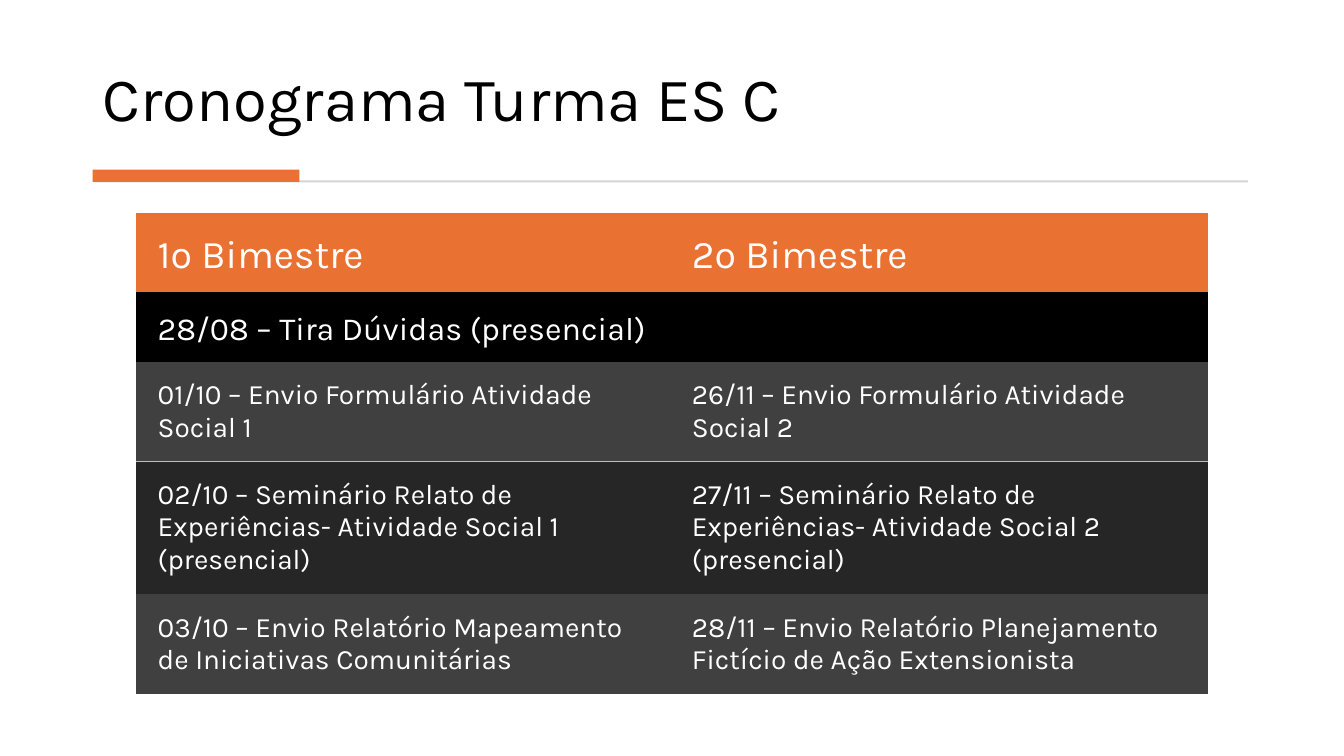
import pptx
import pptx.dml.color
import pptx.enum.shapes
import pptx.enum.text
import pptx.oxml
import pptx.oxml.ns
import pptx.util

Pt = pptx.util.Pt
RGBColor = pptx.dml.color.RGBColor
Anchor = pptx.enum.text.MSO_ANCHOR

BLACK = RGBColor(0x00, 0x00, 0x00)
WHITE = RGBColor(0xFF, 0xFF, 0xFF)
ORANGE = RGBColor(0xE9, 0x71, 0x32)
RULE_GRAY = RGBColor(0xD5, 0xD5, 0xD5)
BORDER_GRAY = RGBColor(0xBF, 0xBF, 0xBF)
MEDIUM_GRAY = RGBColor(0x40, 0x40, 0x40)
DARK_GRAY = RGBColor(0x26, 0x26, 0x26)

FONT = "Karla"
COLUMN_WIDTHS = (381.6, 384.5)
CELL_FORMAT = {
    "margin_left": Pt(15.84),
    "margin_top": Pt(12.24),
    "margin_right": Pt(15.84),
    "margin_bottom": Pt(7.92),
}
SCHEDULE = [
    (56.5, 28, ORANGE, Anchor.MIDDLE, {},
     ("1º Bimestre", "2º Bimestre")),
    (50, 23, BLACK, Anchor.MIDDLE, {},
     ("28/08 – Tira Dúvidas (presencial)", "")),
    (71, 20, MEDIUM_GRAY, Anchor.TOP, {"lnB": BORDER_GRAY},
     ("01/10 – Envio Formulário Atividade Social 1",
      "26/11 – Envio Formulário Atividade Social 2")),
    (95, 20, DARK_GRAY, Anchor.TOP, {"lnT": BORDER_GRAY},
     ("02/10 – Seminário Relato de Experiências- Atividade Social 1 (presencial)",
      "27/11 – Seminário Relato de Experiências- Atividade Social 2 (presencial)")),
    (71, 20, MEDIUM_GRAY, Anchor.TOP, {},
     ("03/10 – Envio Relatório Mapeamento de Iniciativas Comunitárias",
      "28/11 – Envio Relatório Planejamento Fictício de Ação Extensionista")),
]


def apply_format(target, values):
    for name, value in values.items():
        setattr(target, name, value)


def format_font(font, size, color):
    apply_format(font, {"name": FONT, "size": Pt(size), "bold": False})
    font.color.rgb = color


def set_title(slide, text):
    title = slide.shapes.title
    apply_format(title, {"left": Pt(66.24), "top": Pt(20.16),
                         "width": Pt(827.28), "height": Pt(79.92)})
    apply_format(title.text_frame, {
        "text": text,
        "word_wrap": True,
        "auto_size": pptx.enum.text.MSO_AUTO_SIZE.NONE,
        "vertical_anchor": Anchor.BOTTOM,
    })
    paragraph = title.text_frame.paragraphs[0]
    apply_format(paragraph, {"alignment": pptx.enum.text.PP_ALIGN.LEFT,
                             "line_spacing": 0.9})
    format_font(paragraph.font, 44, BLACK)


def add_bar(slide, left, top, width, height, color):
    bar = slide.shapes.add_shape(
        pptx.enum.shapes.MSO_SHAPE.RECTANGLE,
        Pt(left), Pt(top), Pt(width), Pt(height))
    bar.shadow.inherit = False
    bar.fill.solid()
    bar.fill.fore_color.rgb = color
    bar.line.fill.background()


def set_borders(cell, borders):
    properties = cell._tc.get_or_add_tcPr()
    namespace = pptx.oxml.ns.nsdecls("a")
    for position, side in enumerate(("lnL", "lnR", "lnT", "lnB")):
        if side in borders:
            paint = f'<a:solidFill><a:srgbClr val="{borders[side]}"/></a:solidFill>'
        else:
            paint = "<a:noFill/>"
        line = pptx.oxml.parse_xml(
            f'<a:{side} {namespace} w="{Pt(1)}">{paint}</a:{side}>')
        properties.insert(position, line)


def fill_cell(cell, text, size, background, anchor, borders):
    apply_format(cell, {**CELL_FORMAT, "vertical_anchor": anchor, "text": text})
    format_font(cell.text_frame.paragraphs[0].font, size, WHITE)
    cell.fill.solid()
    cell.fill.fore_color.rgb = background
    set_borders(cell, borders)


def add_schedule(slide):
    table = slide.shapes.add_table(
        len(SCHEDULE), len(COLUMN_WIDTHS), Pt(96.8), Pt(152),
        Pt(sum(COLUMN_WIDTHS)), Pt(sum(row[0] for row in SCHEDULE))).table
    apply_format(table, {"first_row": False, "horz_banding": False})
    for column, width in zip(table.columns, COLUMN_WIDTHS):
        column.width = Pt(width)
    for row, (height, size, background, anchor, borders, texts) in zip(table.rows, SCHEDULE):
        row.height = Pt(height)
        for cell, text in zip(row.cells, texts):
            fill_cell(cell, text, size, background, anchor, borders)


def main():
    presentation = pptx.Presentation()
    apply_format(presentation, {"slide_width": Pt(960), "slide_height": Pt(540)})
    slide = presentation.slides.add_slide(presentation.slide_layouts[5])
    set_title(slide, "Cronograma Turma ES C")
    add_bar(slide, 68.4, 128.9, 823, 1.4, RULE_GRAY)
    add_bar(slide, 66.24, 121.2, 147.6, 8.8, ORANGE)
    add_schedule(slide)
    presentation.save("out.pptx")


if __name__ == "__main__":
    main()
